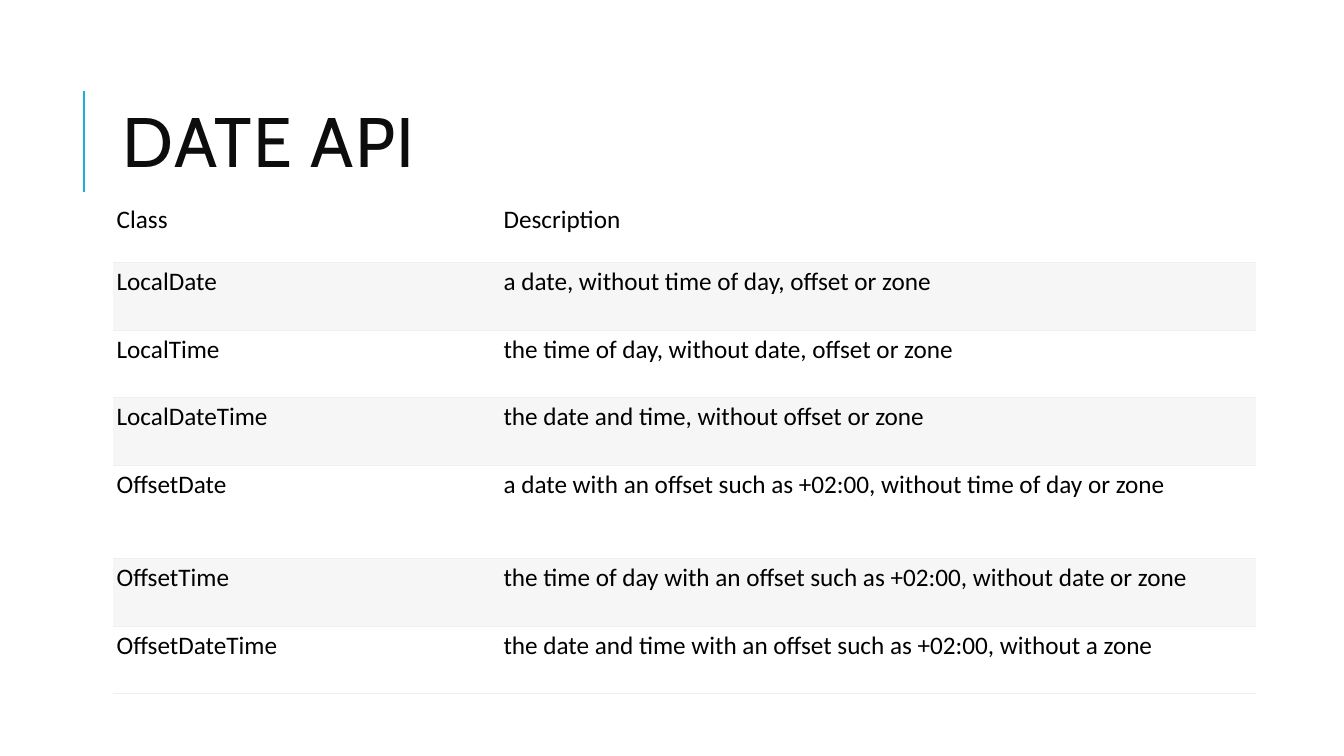
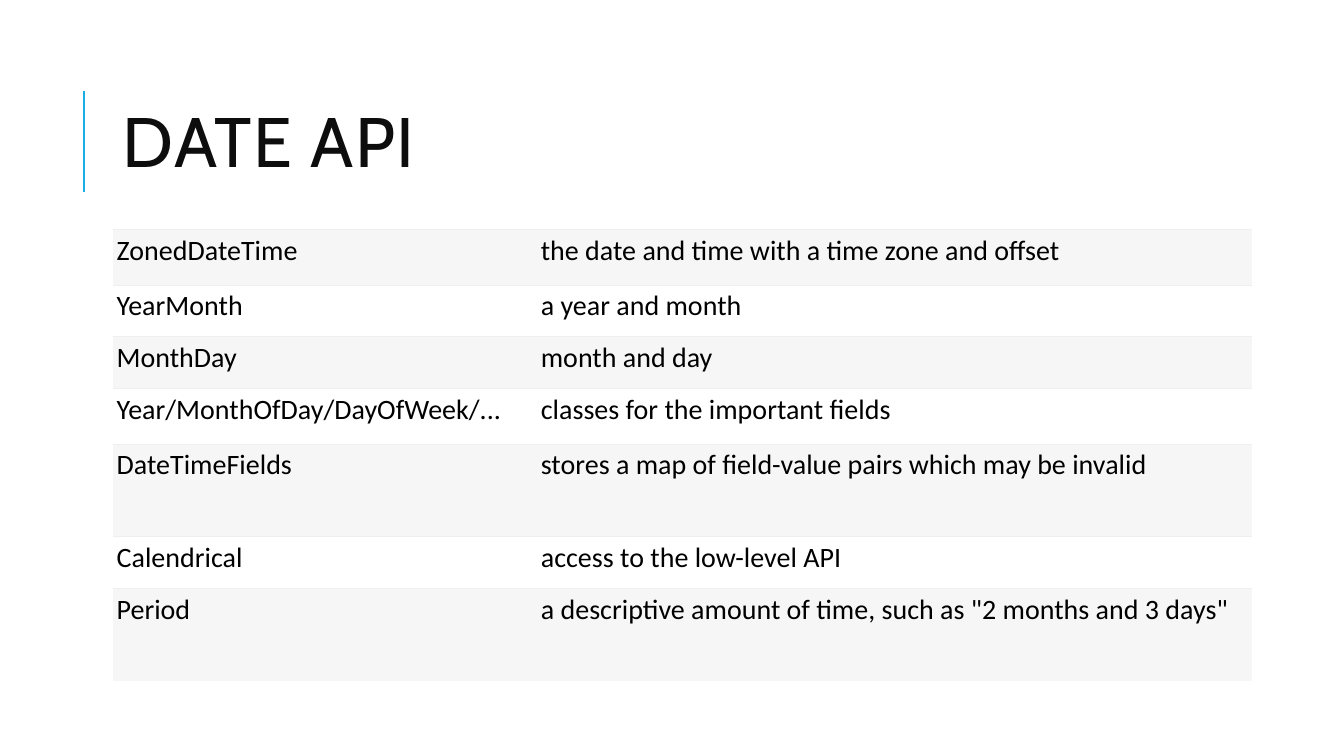
from lxml.etree import SubElement
from pptx import Presentation
from pptx.dml.color import RGBColor
from pptx.enum.shapes import MSO_CONNECTOR as Link
from pptx.enum.text import MSO_ANCHOR as Anchor, MSO_AUTO_SIZE as Fit, PP_ALIGN as Align
from pptx.oxml.ns import qn
from pptx.util import Cm, Pt

# Shared look
BLUE, INK, BLACK = "1CADE4", "0D0D0D", "000000"
BAND, RULE = "F6F6F6", "EFEFEF"
HEAD, BODY = "Cabin", "Calibri"
LEFT = 2.84
PAD = Cm(0.1)

# Slide content
TYPES = [
    ("Class", "Description"),
    ("LocalDate", "a date, without time of day, offset or zone"),
    ("LocalTime", "the time of day, without date, offset or zone"),
    ("LocalDateTime", "the date and time, without offset or zone"),
    ("OffsetDate", "a date with an offset such as +02:00, without time of day or zone"),
    ("OffsetTime", "the time of day with an offset such as +02:00, without date or zone"),
    ("OffsetDateTime", "the date and time with an offset such as +02:00, without a zone"),
]
FIELDS = [
    ("ZonedDateTime", "the date and time with a time zone and offset"),
    ("YearMonth", "a year and month"),
    ("MonthDay", "month and day"),
    ("Year/MonthOfDay/DayOfWeek/...", "classes for the important fields"),
    ("DateTimeFields", "stores a map of field-value pairs which may be invalid"),
    ("Calendrical", "access to the low-level API"),
    ("Period", 'a descriptive amount of time, such as "2 months and 3 days"'),
]


def color(code):
    return RGBColor.from_string(code)


def style(para, face, size, code):
    font = para.font
    font.name, font.size, font.bold = face, Pt(size), False
    font.color.rgb = color(code)


def add_bar(slide):
    """Draw the upright accent line beside the title."""
    bar = slide.shapes.add_connector(Link.STRAIGHT, Cm(2.11), Cm(4.83), Cm(2.11), Cm(2.29))
    bar.line.color.rgb = color(BLUE)
    bar.line.width = Pt(1.5)
    SubElement(bar.element.spPr, qn("a:effectLst"))


def set_title(slide, text):
    title = slide.shapes.title
    title.left, title.top = Cm(LEFT), Cm(1.63)
    title.width, title.height = Cm(27), Cm(4.17)
    frame = title.text_frame
    frame.text = text
    frame.auto_size = Fit.NONE
    frame.vertical_anchor = Anchor.MIDDLE
    para = frame.paragraphs[0]
    para.alignment, para.line_spacing = Align.LEFT, 0.8
    style(para, HEAD, 50, INK)
    para.runs[0]._r.get_or_add_rPr().set("spc", "100")


def add_edge(cell, side, code=None):
    """Set one cell border; without a colour it is left out."""
    edge = SubElement(cell._tc.get_or_add_tcPr(), qn(f"a:ln{side}"), w=str(Pt(0.75)))
    if code:
        fill = SubElement(edge, qn("a:solidFill"))
        SubElement(fill, qn("a:srgbClr"), val=code)
    else:
        SubElement(edge, qn("a:noFill"))


def fill_cell(cell, text, size, band, top, base):
    cell.text = text
    cell.margin_left = cell.margin_right = PAD
    cell.margin_top = cell.margin_bottom = PAD
    cell.vertical_anchor = Anchor.TOP
    style(cell.text_frame.paragraphs[0], BODY, size, BLACK)
    # Borders come before the fill in the cell's XML
    for side, code in (("L", None), ("R", None), ("T", top), ("B", base)):
        add_edge(cell, side, code)
    if band:
        cell.fill.solid()
        cell.fill.fore_color.rgb = color(BAND)
    else:
        cell.fill.background()


def add_grid(slide, data, top, cols, rows, size, header):
    """Add a banded table; with a header the odd rows are shaded, else the even."""
    frame = slide.shapes.add_table(
        len(data), len(cols), Cm(LEFT), Cm(top), Cm(sum(cols)), Cm(sum(rows)))
    table = frame.table
    table.first_row = table.horz_banding = False
    for col, width in zip(table.columns, cols):
        col.width = Cm(width)
    last = len(data) - 1
    for i, (texts, high) in enumerate(zip(data, rows)):
        table.rows[i].height = Cm(high)
        band = i % 2 == int(header)
        over = None if header and i == 0 else RULE
        under = None if band and i == last else RULE
        for j, text in enumerate(texts):
            fill_cell(table.cell(i, j), text, size, band, over, under)


def add_page(deck, title, **grid):
    slide = deck.slides.add_slide(deck.slide_layouts[5])
    add_bar(slide)
    set_title(slide, title)
    add_grid(slide, **grid)


def main():
    deck = Presentation()
    deck.slide_width, deck.slide_height = Cm(33.87), Cm(19.05)
    add_page(deck, "DATE API", data=TYPES, top=5.05, cols=(9.75, 19.05),
             rows=(1.57, 1.7, 1.7, 1.7, 2.36, 1.7, 1.7), size=18, header=True)
    add_page(deck, "DATE API", data=FIELDS, top=5.79, cols=(10.69, 18.01),
             rows=(1.4, 1.3, 1.3, 1.4, 2.34, 1.3, 2.34), size=20, header=False)
    deck.save("out.pptx")


if __name__ == "__main__":
    main()
